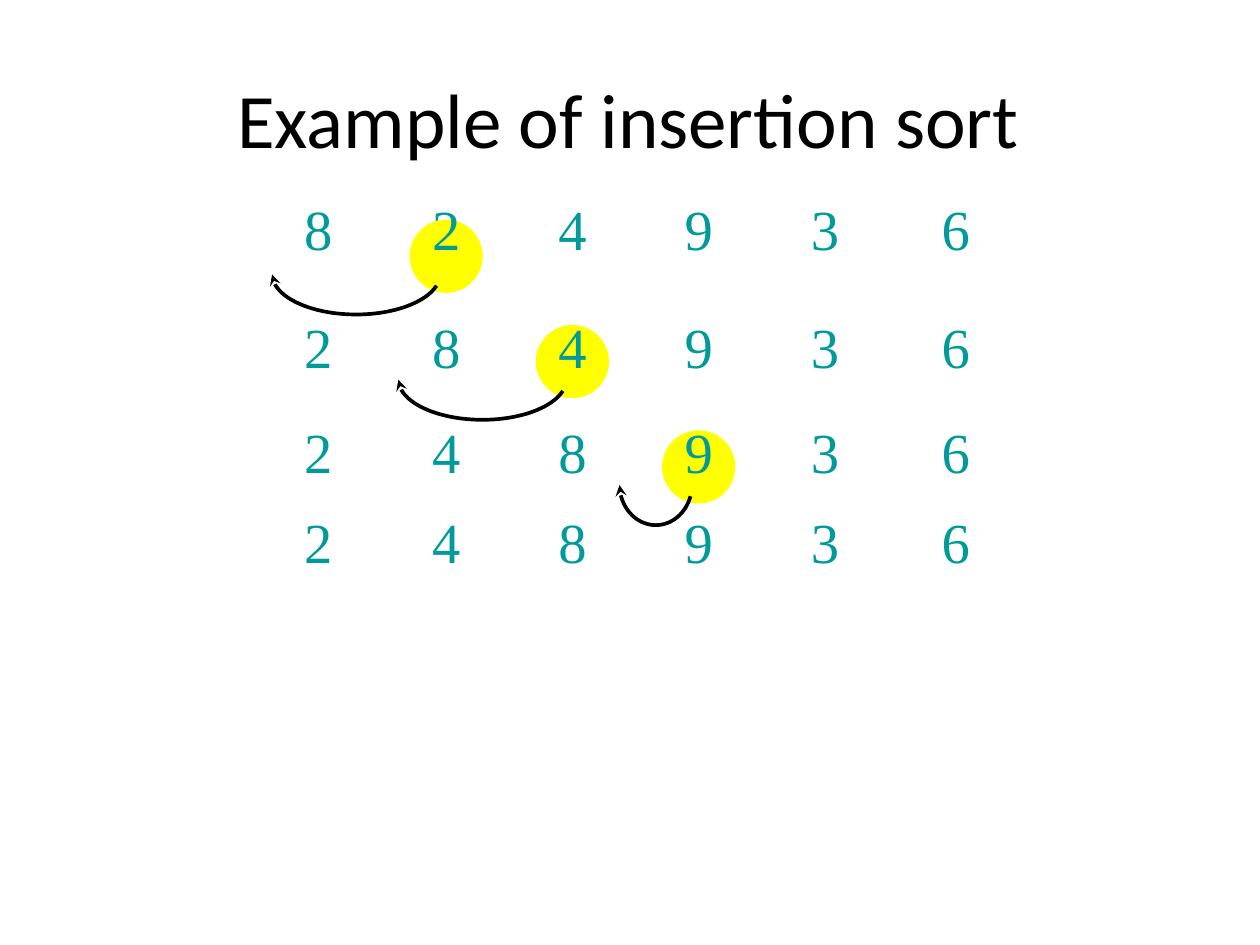
from math import cos, radians, sin

from lxml import etree
from pptx import Presentation
from pptx.dml.color import RGBColor
from pptx.enum.shapes import MSO_SHAPE
from pptx.enum.text import MSO_ANCHOR, PP_ALIGN
from pptx.oxml.ns import qn
from pptx.util import Cm, Pt

OVAL = MSO_SHAPE.OVAL
MIDDLE = MSO_ANCHOR.MIDDLE
LEFT, CENTER, RIGHT = PP_ALIGN.LEFT, PP_ALIGN.CENTER, PP_ALIGN.RIGHT

BLACK, TEAL, YELLOW = "000000", "009A9A", "FFFF00"
TITLE_FONT, DIGIT_FONT = "Calibri", "Times New Roman"

SORT_STEPS = ["824936", "284936", "248936", "248936"]
TABLE_LEFT, TABLE_TOP = 8.64, 6.3
COLUMN, EDGE_COLUMN = 3.62, 2.34
ROW, EDGE_ROW = 3.02, 2.39
MARKER = 2.1
# Horizontal radius of the arrow and its centre's distance left of the marker
LONG_MOVE, SHORT_MOVE = (2.41, 2.58), (1.04, 1.23)


def color(hex_string):
    return RGBColor.from_string(hex_string)


def write(frame, text, font, size, ink, align=CENTER, before=0, spacing=None):
    paragraph = frame.paragraphs[0]
    paragraph.alignment = align
    paragraph.space_before = Pt(before)
    if spacing:
        paragraph.line_spacing = Pt(spacing)
    run = paragraph.add_run()
    run.text = text
    run.font.name = font
    run.font.size = Pt(size)
    run.font.color.rgb = color(ink)


def clear_borders(cell):
    properties = cell._tc.get_or_add_tcPr()
    for side in ("a:lnL", "a:lnR", "a:lnT", "a:lnB"):
        border = etree.SubElement(properties, qn(side))
        etree.SubElement(border, qn("a:noFill"))


class SortSlide:
    def __init__(self, presentation):
        self.slide = presentation.slides.add_slide(presentation.slide_layouts[6])
        self.shapes = self.slide.shapes

    def title(self, text):
        box = self.shapes.add_textbox(Cm(6), Cm(2), Cm(24.03), Cm(2.72))
        frame = box.text_frame
        frame.word_wrap = True
        frame.vertical_anchor = MIDDLE
        frame.margin_left = frame.margin_right = frame.margin_bottom = 0
        frame.margin_top = Cm(0.05)
        write(frame, text, TITLE_FONT, 62.6, BLACK, before=1.4)

    def marker(self, x, y):
        """Yellow disc centred on x, y behind the digit being inserted."""
        disc = self.shapes.add_shape(
            OVAL, Cm(x - MARKER / 2), Cm(y - MARKER / 2), Cm(MARKER), Cm(MARKER))
        disc.shadow.inherit = False
        disc.fill.solid()
        disc.fill.fore_color.rgb = color(YELLOW)
        disc.line.fill.background()

    def move_arrow(self, x, y, radius_x, radius_y=1.17):
        """Lower half of an ellipse centred on x, y, pointing to its left end."""
        points = [(Cm(x + radius_x * cos(radians(angle))),
                   Cm(y + radius_y * sin(radians(angle))))
                  for angle in range(17, 180, 3)]
        builder = self.shapes.build_freeform(*points[0])
        builder.add_line_segments(points[1:], close=False)
        arrow = builder.convert_to_shape()
        arrow.shadow.inherit = False
        arrow.fill.background()
        arrow.line.color.rgb = color(BLACK)
        arrow.line.width = Pt(3)
        etree.SubElement(arrow.line._get_or_add_ln(), qn("a:tailEnd"), type="stealth")

    def digit_table(self, steps):
        rows, columns = len(steps), len(steps[0])
        widths = [EDGE_COLUMN] + [COLUMN] * (columns - 2) + [EDGE_COLUMN]
        heights = [EDGE_ROW] + [ROW] * (rows - 2) + [EDGE_ROW]
        table = self.shapes.add_table(
            rows, columns, Cm(TABLE_LEFT), Cm(TABLE_TOP),
            Cm(sum(widths)), Cm(sum(heights))).table
        table.first_row = table.horz_banding = False
        for column, width in zip(table.columns, widths):
            column.width = Cm(width)
        for row, height in zip(table.rows, heights):
            row.height = Cm(height)
        alignments = [LEFT] + [CENTER] * (columns - 2) + [RIGHT]
        line_spacings = [34.9] + [None] * (rows - 2) + [37.9]
        for r, step in enumerate(steps):
            for c, digit in enumerate(step):
                cell = table.cell(r, c)
                cell.margin_left = Cm(0 if c else 0.08)
                cell.margin_right = cell.margin_bottom = 0
                cell.margin_top = Cm(0.43 if r else 0)
                clear_borders(cell)
                cell.fill.background()
                write(cell.text_frame, digit, DIGIT_FONT, 46, TEAL,
                      align=alignments[c], before=8.8 if r else 0,
                      spacing=line_spacings[r])


def main():
    presentation = Presentation()
    presentation.slide_width, presentation.slide_height = Cm(36.12), Cm(27.1)
    slide = SortSlide(presentation)
    slide.title("Example of insertion sort")
    for step, (radius, shift) in enumerate([LONG_MOVE, LONG_MOVE, SHORT_MOVE]):
        x = TABLE_LEFT + EDGE_COLUMN + COLUMN * (step + 0.5)
        y = TABLE_TOP + MARKER / 2 + ROW * step
        slide.marker(x, y)
        slide.move_arrow(x - shift, y + 0.5, radius)
    slide.digit_table(SORT_STEPS)
    presentation.save("out.pptx")


if __name__ == "__main__":
    main()
